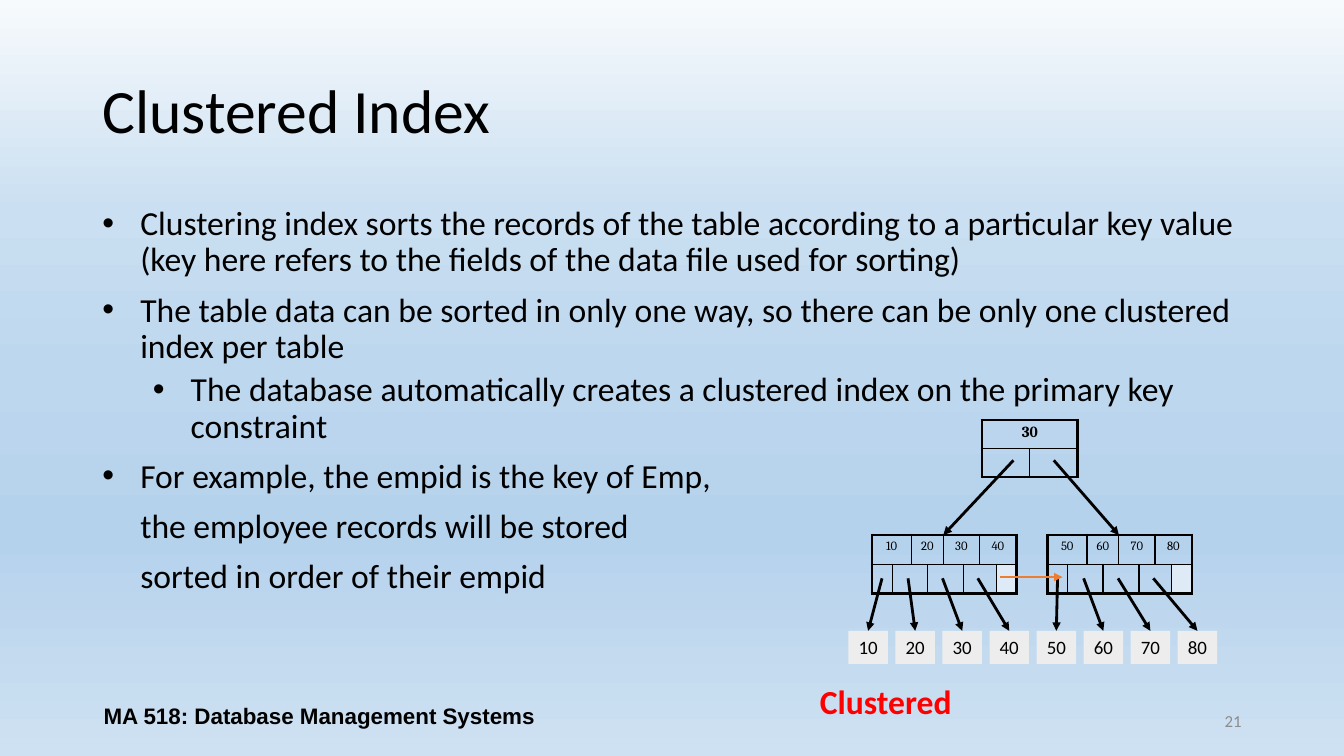
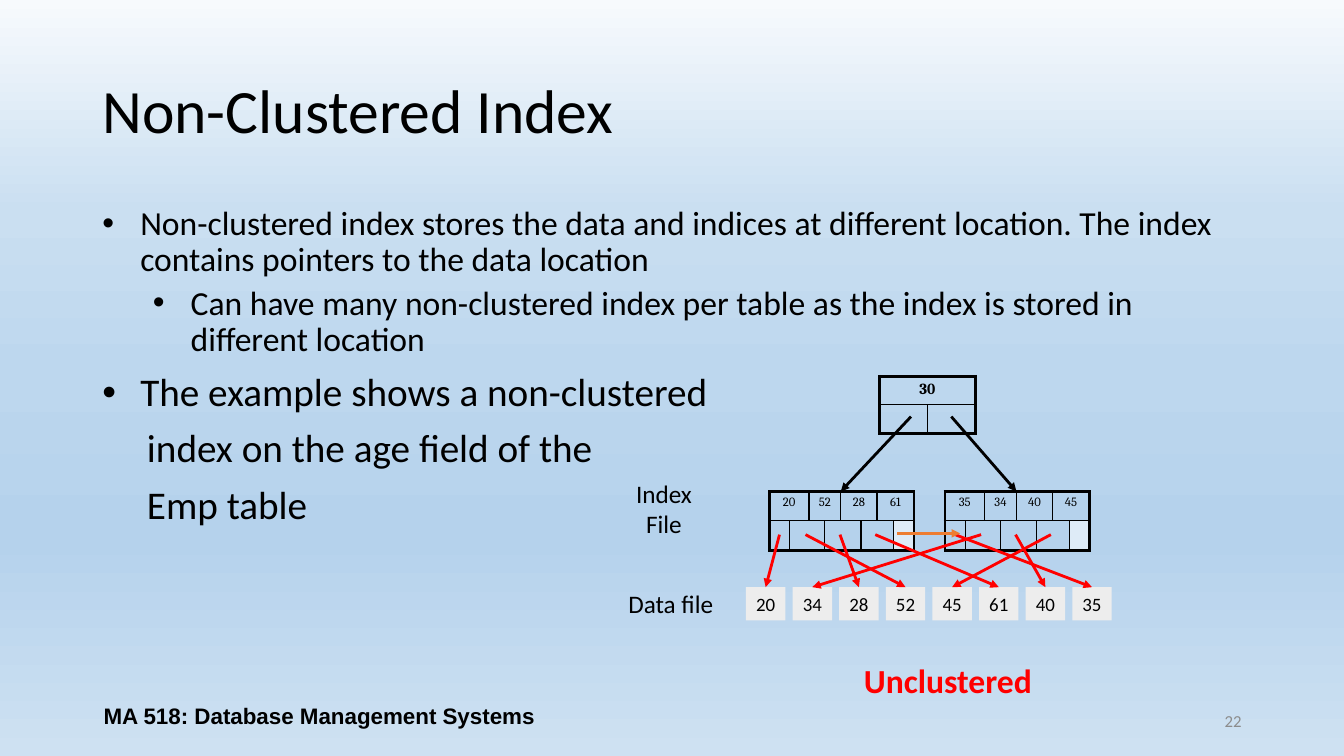
import pptx
import pptx.util
import pptx.dml.color
import pptx.enum.shapes
import pptx.enum.text
import pptx.oxml
import pptx.oxml.ns

# The slide is a grid of 160 columns and 90 rows with square cells.
WIDE, HIGH = pptx.util.Inches(13.333), pptx.util.Inches(7.5)
UNIT = HIGH / 90
BLACK, RED, ORANGE, GRAY = "000000", "FF0000", "ED7D31", "8C8C8C"
PALE, SPARE = "EDEDED", "DEEBF7"
STOPS = [(0, "F7FAFD"), (28, "CADFF1"), (49, "BDD7EE"), (71, "B5D2EC"), (100, "CEE1F2")]
FIRST = 21
COURSE = "MA 518: Database Management Systems"
PLAIN = "{2D5ABB26-0587-4C30-8999-92F81FD0307C}"

ROOT_COLS, ROOT_ROW = [5.7, 5.7], 3.4
LEAF_COLS, LEAF_ROW = [2.4, 2.3, 1.9, 1.9, 2.4, 1.9, 2, 2.4], 3.5
PORTS = [1.2, 4.3, 8.4, 12.6]

ALIGN = pptx.enum.text.PP_ALIGN
MIDDLE = pptx.enum.text.MSO_ANCHOR.MIDDLE
tag = pptx.oxml.ns.qn


def grid(*cells):
    return [pptx.util.Emu(round(cell * UNIT)) for cell in cells]


def color(code):
    return pptx.dml.color.RGBColor.from_string(code)


def node(text):
    """Parse an XML snippet in the drawing namespace."""
    head, rest = text.split(">", 1) if "/>" not in text.split(">", 1)[0] + ">" else (text[:-2], None)
    head += " " + pptx.oxml.ns.nsdecls("a")
    return pptx.oxml.parse_xml(head + "/>" if rest is None else head + ">" + rest)


def style(para, size, code=BLACK, font="Calibri", bold=False, align=ALIGN.LEFT):
    para.alignment = align
    for run in para.runs:
        run.font.size = pptx.util.Pt(size)
        run.font.name = font
        run.font.bold = bold
        run.font.color.rgb = color(code)


def label(slide, box, text, size, wrap=True, **look):
    shape = slide.shapes.add_textbox(*grid(*box))
    frame = shape.text_frame
    frame.word_wrap = wrap
    frame.vertical_anchor = MIDDLE
    frame.text = text
    style(frame.paragraphs[0], size, **look)
    return frame.paragraphs[0]


def number(slide, value):
    para = label(slide, (113, 83.4, 36, 4.8), str(value), 12, code=GRAY, align=ALIGN.RIGHT)
    run = para.runs[0]._r
    field = node('<a:fld id="{B6F15528-21DE-4FAA-801E-634DDDAF4B2B}" type="slidenum"/>')
    run.addprevious(field)
    field.extend(list(run))
    run.getparent().remove(run)


def caption(slide, box, text):
    para = label(slide, box, text, 24, code=RED, bold=True, align=ALIGN.CENTER)
    glow = node('<a:effectLst><a:outerShdw blurRad="38100" dist="38100" dir="2700000">'
                '<a:srgbClr val="000000"><a:alpha val="43000"/></a:srgbClr>'
                '</a:outerShdw></a:effectLst>')
    para.runs[0].font._element.find(tag("a:latin")).addprevious(glow)


def bullets(body, items):
    """Fill the body from (text, size, indent, level); level None has no bullet."""
    frame = body.text_frame
    frame.auto_size = pptx.enum.text.MSO_AUTO_SIZE.NONE
    for place, (text, size, indent, level) in enumerate(items):
        para = frame.add_paragraph() if place else frame.paragraphs[0]
        para.text = text
        para.level = level or 0
        para.line_spacing = 0.9
        para.space_before = pptx.util.Pt(5 if level else 10)
        style(para, size)
        props = para._p.get_or_add_pPr()
        left, hang = grid(indent, 4.5)
        props.set("marL", str(left))
        props.set("indent", str(0 if level is None else -hang))
        if level is None:
            props.append(node("<a:buNone/>"))
        else:
            props.append(node('<a:buFont typeface="Arial"/>'))
            props.append(node('<a:buChar char="•"/>'))


def arrow(slide, start, end, code=BLACK):
    kind = pptx.enum.shapes.MSO_CONNECTOR.STRAIGHT
    line = slide.shapes.add_connector(kind, *grid(*start, *end))
    line.line.color.rgb = color(code)
    line.line.width = pptx.util.Pt(2)
    props = line.element.spPr
    props.find(tag("a:ln")).append(node('<a:tailEnd type="triangle"/>'))
    props.append(node("<a:effectLst/>"))


def border(cell, edges):
    """Draw the given edges, a map of L, R, T, B to points."""
    props = cell._tc.get_or_add_tcPr()
    for side, width in edges.items():
        props.append(node(f'<a:ln{side} w="{pptx.util.Pt(width)}"><a:solidFill>'
                          f'<a:srgbClr val="{BLACK}"/></a:solidFill></a:ln{side}>'))


def block(slide, left, top, cols, high, rows, size, bold=False):
    """Draw an index node; rows hold (text, span, fill) cells."""
    frame = slide.shapes.add_table(len(rows), len(cols),
                                   *grid(left, top, sum(cols), high * len(rows)))
    table = frame.table
    table.first_row = table.horz_banding = False
    table._tbl.tblPr.find(tag("a:tableStyleId")).text = PLAIN
    for col, wide in zip(table.columns, grid(*cols)):
        col.width = wide
    for y, row in enumerate(rows):
        table.rows[y].height = grid(high)[0]
        x = 0
        for text, span, fill in row:
            last = x + span - 1
            for at in range(x, last + 1):
                edges = {}
                if at == x:
                    edges["L"] = 1 if x else 2.25
                if at == last or at == x:
                    edges["R"] = 2.25 if last == len(cols) - 1 else 1
                edges["T"] = 1 if y else 2.25
                edges["B"] = 2.25 if y == len(rows) - 1 else 1
                border(table.cell(y, at), edges)
            cell = table.cell(y, x)
            if span > 1:
                cell.merge(table.cell(y, last))
            if fill:
                cell.fill.solid()
                cell.fill.fore_color.rgb = color(fill)
            else:
                cell.fill.background()
            cell.margin_left = cell.margin_right = pptx.util.Inches(0.07)
            cell.margin_top = cell.margin_bottom = pptx.util.Inches(0.04)
            para = cell.text_frame.paragraphs[0]
            if text:
                para.text = text
                para.space_before = pptx.util.Pt(2)
                style(para, size, font="Cambria", bold=bold, align=ALIGN.CENTER)
            else:
                para._p.append(node(f'<a:endParaRPr sz="{size * 100}"/>'))
            x += span


def record(slide, left, top, text):
    kind = pptx.enum.shapes.MSO_SHAPE.RECTANGLE
    shape = slide.shapes.add_shape(kind, *grid(left, top, 4.7, 3.95))
    shape.shadow.inherit = False
    shape.fill.solid()
    shape.fill.fore_color.rgb = color(PALE)
    shape.line.fill.background()
    frame = shape.text_frame
    frame.word_wrap = False
    frame.vertical_anchor = MIDDLE
    frame.text = text
    style(frame.paragraphs[0], 13.5, align=ALIGN.CENTER)


def tree(slide, left, top, leaves, data, step, code):
    """Draw root, two leaves and data records; each key points to its record."""
    root, low, base = left + 13.1, top + 13.7, top + 25.1
    block(slide, root, top, ROOT_COLS, ROOT_ROW,
          [[("30", 2, None)], [("", 1, None)] * 2], 11, bold=True)
    for place, text in enumerate(data):
        record(slide, left - 2.8 + place * step, base, text)
    for side, keys in enumerate(leaves):
        leaf = left + side * 20.9
        heads = [(key, 2, None) for key in keys]
        slots = [("", 1, None)] + [("", 2, None)] * 3 + [("", 1, SPARE)]
        block(slide, leaf, low, LEAF_COLS, LEAF_ROW, [heads, slots], 9)
        arrow(slide, (root + 3.75 + side * 4.8, top + 4.8), (leaf + 8.5, low))
        for key, port in zip(keys, PORTS):
            goal = left - 0.45 + data.index(key) * step
            arrow(slide, (leaf + port, low + 5.15), (goal, base), code)
    arrow(slide, (left + 15.2, low + 5), (left + 22.7, low + 5), ORANGE)


def paint(master):
    fill = master.background.fill
    fill.gradient()
    fill.gradient_angle = 270
    stops = master.element.find(".//" + tag("a:gsLst"))
    for stop in list(stops):
        stops.remove(stop)
    for share, code in STOPS:
        stops.append(node(f'<a:gs pos="{share * 1000}"><a:srgbClr val="{code}"/></a:gs>'))


def setup():
    deck = pptx.Presentation()
    deck.slide_width, deck.slide_height = WIDE, HIGH
    deck.element.set("firstSlideNum", str(FIRST))
    paint(deck.slide_master)
    title, body = list(deck.slide_layouts[1].placeholders)[:2]
    for shape, box in ((title, (11, 4.8, 138, 17.4)), (body, (11, 24, 138, 57.1))):
        shape.left, shape.top, shape.width, shape.height = grid(*box)
    return deck


def page(deck, name, items):
    slide = deck.slides.add_slide(deck.slide_layouts[1])
    title, body = slide.placeholders
    title.text_frame.text = name
    title.text_frame.vertical_anchor = MIDDLE
    title.text_frame.paragraphs[0].line_spacing = 0.9
    style(title.text_frame.paragraphs[0], 44)
    bullets(body, items)
    number(slide, FIRST + len(deck.slides) - 1)
    label(slide, (11, 82.8, 54, 4.8), COURSE, 16, font="Arial", bold=True, align=ALIGN.CENTER)
    return slide


def main():
    deck = setup()

    slide = page(deck, "Clustered Index", [
        ("Clustering index sorts the records of the table according to a particular key value "
         "(key here refers to the fields of the data file used for sorting)", 24, 4.5, 0),
        ("The table data can be sorted in only one way, so there can be only one clustered "
         "index per table", 24, 4.5, 0),
        ("The database automatically creates a clustered index on the primary key constraint",
         24, 10.5, 1),
        ("For example, the empid is the key of Emp,", 24, 4.5, 0),
        ("the employee records will be stored", 24, 4.5, None),
        ("sorted in order of their empid", 24, 4.5, None),
    ])
    keys = [str(key) for key in range(10, 90, 10)]
    tree(slide, 103.8, 50, [keys[:4], keys[4:]], keys, 5.6, BLACK)
    caption(slide, (96.2, 80.5, 18.5, 6), "Clustered")

    slide = page(deck, "Non-Clustered Index", [
        ("Non-clustered index stores the data and indices at different location. The index "
         "contains pointers to the data location", 24, 4.5, 0),
        ("Can have many non-clustered index per table as the index is stored in different "
         "location", 24, 10.5, 1),
        ("The example shows a non-clustered", 28, 4.5, 0),
        ("index on the age field of the", 28, 5.3, None),
        ("Emp table", 28, 5.3, None),
    ])
    tree(slide, 91.6, 44.8, [["20", "52", "28", "61"], ["35", "34", "40", "45"]],
         ["20", "34", "28", "52", "45", "61", "40", "35"], 5.55, RED)
    caption(slide, (100.6, 78, 24.5, 6), "Unclustered")
    label(slide, (72.1, 58.1, 13.9, 4.8), "Index File", 18, wrap=False, align=ALIGN.CENTER)
    label(slide, (73.6, 69.4, 12.5, 4.8), "Data file", 18, wrap=False, align=ALIGN.CENTER)

    deck.save("out.pptx")


if __name__ == "__main__":
    main()
